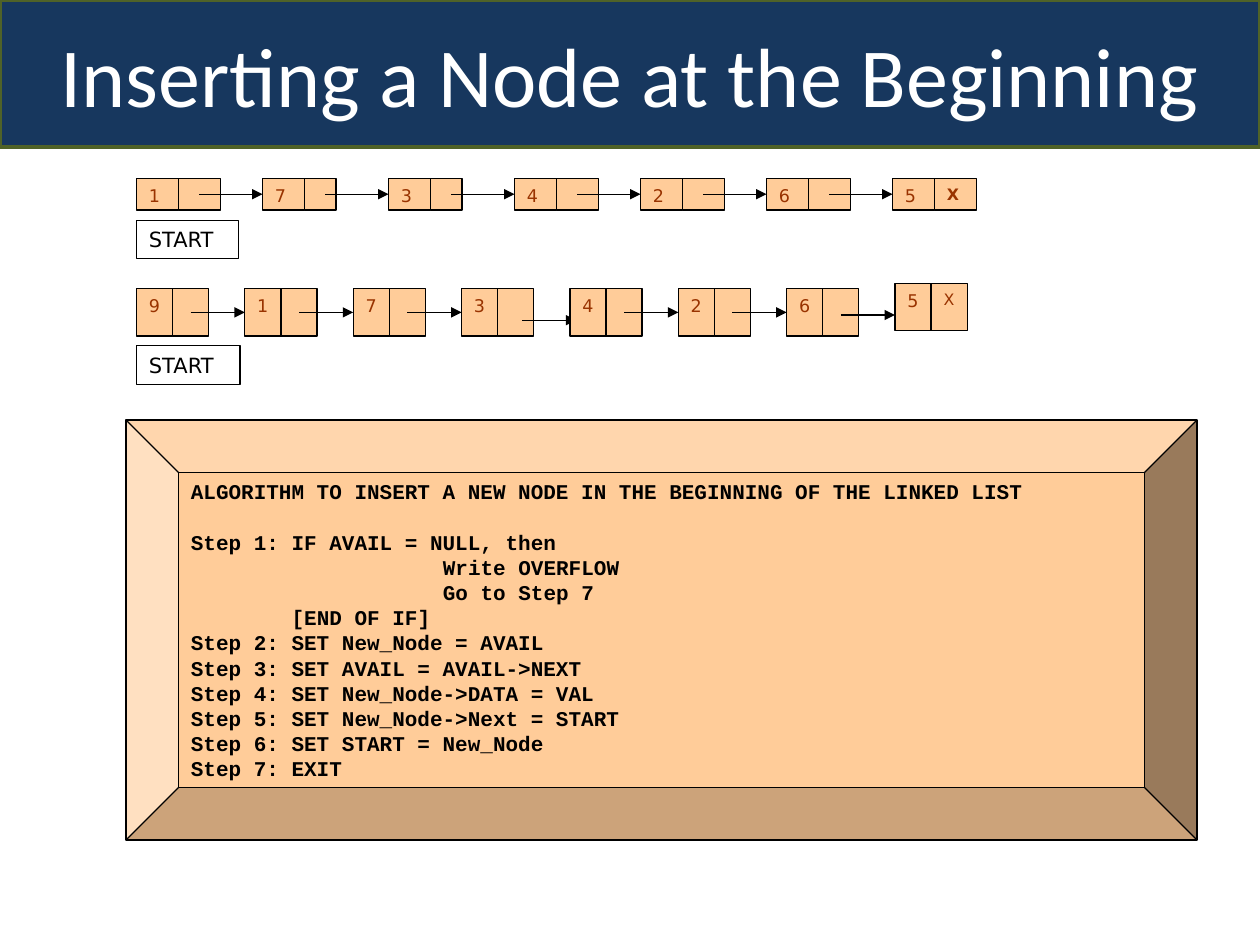
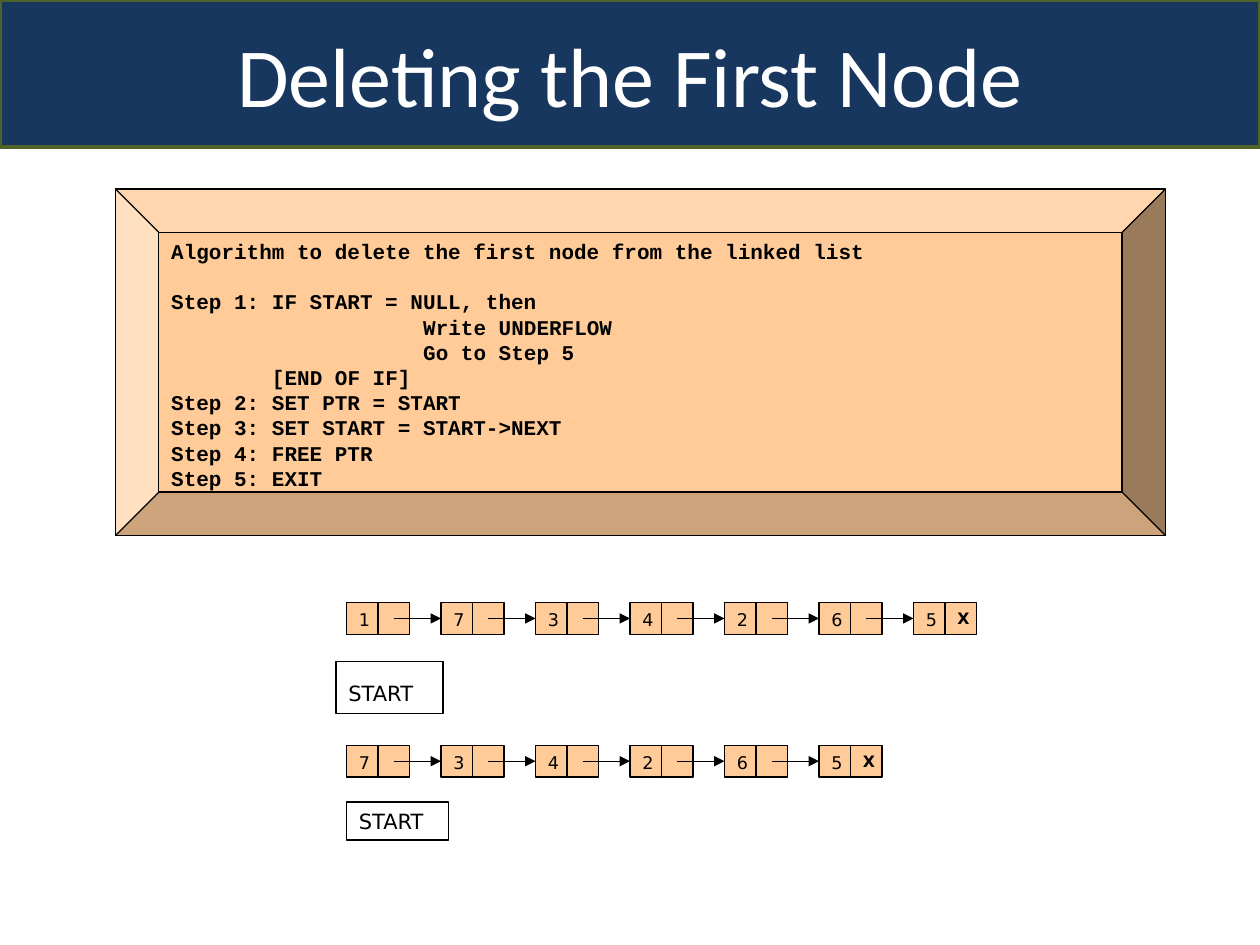
"""Two slides on inserting and deleting the first node of a linked list."""
from dataclasses import dataclass

import pptx
import pptx.dml.color
import pptx.enum.shapes
import pptx.enum.text
import pptx.oxml
import pptx.oxml.ns
import pptx.util

ANCHOR = pptx.enum.text.MSO_ANCHOR
ALIGN = pptx.enum.text.PP_ALIGN
SHAPE = pptx.enum.shapes.MSO_SHAPE
COLUMNS, ROWS = 120, 90
CODE_INDENT = 0.1  # inches taken by one character of code


@dataclass(frozen=True)
class Theme:
    """Colours, fonts and sizes shared by the slides."""
    band: str = "17375E"
    band_edge: str = "4F6228"
    title_ink: str = "FFFFFF"
    node: str = "FFCC99"
    ink: str = "000000"
    warm_ink: str = "993300"
    title_font: str = "Calibri"
    code_font: str = "Courier New"
    label_font: str = "DejaVu Sans"
    title_size: float = 48
    code_size: float = 12
    code_leading: float = 14.4
    start_size: float = 12
    value_size: float = 10
    end_size: float = 9
    band_line: float = 2
    thin_line: float = 0.75


class Deck:
    """Holds the style and the current slide, and draws its elements."""

    def __init__(self, theme):
        """Open an empty 10 by 7.5 inch presentation."""
        self.theme = theme
        self.file = pptx.Presentation()
        self.file.slide_width = pptx.util.Inches(10)
        self.file.slide_height = pptx.util.Inches(7.5)
        self.slide = None

    def x(self, columns):
        """Turn grid columns into a length."""
        return round(self.file.slide_width * columns / COLUMNS)

    def y(self, rows):
        """Turn grid rows into a length."""
        return round(self.file.slide_height * rows / ROWS)

    def paint(self, shape, fill, line, width):
        """Set fill and outline; a fill of None leaves the shape open."""
        if fill is None:
            shape.fill.background()
        else:
            shape.fill.solid()
            shape.fill.fore_color.rgb = pptx.dml.color.RGBColor.from_string(fill)
        shape.line.color.rgb = pptx.dml.color.RGBColor.from_string(line)
        shape.line.width = pptx.util.Pt(width)

    def style(self, paragraph, font, size, color, bold=False, align=ALIGN.LEFT):
        """Format one paragraph and its runs."""
        paragraph.alignment = align
        for run in paragraph.runs:
            run.font.name = font
            run.font.size = pptx.util.Pt(size)
            run.font.bold = bold
            run.font.color.rgb = pptx.dml.color.RGBColor.from_string(color)

    def box(self, shapes, kind, left, top, width, height, fill, anchor=ANCHOR.TOP):
        """Add a thinly outlined preset shape, placed on the grid."""
        shape = shapes.add_shape(kind, self.x(left), self.y(top),
                                 self.x(width), self.y(height))
        shape.shadow.inherit = False
        self.paint(shape, fill, self.theme.ink, self.theme.thin_line)
        shape.text_frame.word_wrap = True
        shape.text_frame.vertical_anchor = anchor
        return shape

    def new_slide(self, heading):
        """Start a slide with the heading in a band across the top."""
        theme = self.theme
        self.slide = self.file.slides.add_slide(self.file.slide_layouts[5])
        title = self.slide.shapes.title
        title.left, title.top = 0, 0
        title.width, title.height = self.x(COLUMNS), self.y(14)
        self.paint(title, theme.band, theme.band_edge, theme.band_line)
        frame = title.text_frame
        frame.text = heading
        frame.vertical_anchor = ANCHOR.MIDDLE
        frame.auto_size = pptx.enum.text.MSO_AUTO_SIZE.NONE
        self.style(frame.paragraphs[0], theme.title_font, theme.title_size,
                   theme.title_ink, align=ALIGN.CENTER)

    def algorithm(self, heading, steps, left, top, width, height):
        """Add a bevelled panel; steps are pairs of indent and code."""
        theme = self.theme
        panel = self.box(self.slide.shapes, SHAPE.BEVEL, left, top, width, height,
                         theme.node)
        frame = panel.text_frame
        lines = [(0, heading)] + steps
        frame.text = "\n".join(code for _, code in lines)
        for paragraph, (indent, _) in zip(frame.paragraphs, lines):
            self.style(paragraph, theme.code_font, theme.code_size, theme.ink, True)
            paragraph.line_spacing = pptx.util.Pt(theme.code_leading)
            margin = pptx.util.Inches(indent * CODE_INDENT)
            paragraph._p.get_or_add_pPr().set("marL", str(margin))
        frame.paragraphs[0].space_after = pptx.util.Pt(theme.code_leading)

    def start_label(self, left, top, width=9.75, height=3.6, drop=0):
        """Add the START box; drop lowers its text by some rows."""
        label = self.box(self.slide.shapes, SHAPE.RECTANGLE, left, top, width, height,
                         None, ANCHOR.MIDDLE)
        label.text_frame.margin_top += self.y(2 * drop)
        label.text_frame.text = "START"
        self.style(label.text_frame.paragraphs[0], self.theme.label_font,
                   self.theme.start_size, self.theme.ink)

    def cell(self, shapes, left, top, width, height, text="", size=10, color="",
             bold=False):
        """Add one half of a node."""
        half = self.box(shapes, SHAPE.RECTANGLE, left, top, width, height,
                        self.theme.node)
        if text:
            half.text_frame.text = text
            self.style(half.text_frame.paragraphs[0], self.theme.label_font, size,
                       color, bold)

    def arrow(self, shapes, start, end, row):
        """Add a level arrow between two columns."""
        link = shapes.add_connector(pptx.enum.shapes.MSO_CONNECTOR.STRAIGHT,
                                    self.x(start), self.y(row), self.x(end), self.y(row))
        link.line.color.rgb = pptx.dml.color.RGBColor.from_string(self.theme.ink)
        link.line.width = pptx.util.Pt(self.theme.thin_line)
        head = pptx.oxml.parse_xml(
            f'<a:tailEnd {pptx.oxml.ns.nsdecls("a")} type="triangle"/>')
        link.line._get_or_add_ln().append(head)
        link._element.spPr.append(pptx.oxml.parse_xml(
            f'<a:effectLst {pptx.oxml.ns.nsdecls("a")}/>'))

    def linked_list(self, values, left, top, pitch, cell, height, color,
                    bold_end=True, end_rise=0, narrow=(), nudges=None):
        """Draw a grouped list; narrow and nudges hold exceptions by node value."""
        shapes = self.slide.shapes.add_group_shape().shapes
        theme = self.theme
        for index, value in enumerate(values):
            node = left + index * pitch
            last = index == len(values) - 1
            row = top - end_rise if last else top
            pointer = 3 if value in narrow else cell
            self.cell(shapes, node, row, cell, height, value, theme.value_size, color)
            self.cell(shapes, node + cell, row, pointer, height, "X" if last else "",
                      theme.end_size, color, bold_end)
            if not last:
                across, down = (nudges or {}).get(value, (0, 0))
                self.arrow(shapes, node + 1.5 * cell + across, node + pitch + across,
                           row + height / 2 + down)


def steps_of(guard, overflow, last, actions):
    """List the guard of step 1, the actions that follow and the exit."""
    steps = [(0, f"Step 1: IF {guard} = NULL, then"), (20, f"Write {overflow}"),
             (20, f"Go to Step {last}"), (8, "[END OF IF]")]
    return steps + [(0, f"Step {number}: {action}")
                    for number, action in enumerate(actions + ["EXIT"], 2)]


def insertion_slide(deck):
    """Show a node being put before the first one."""
    warm = deck.theme.warm_ink
    deck.new_slide("Inserting a Node at the Beginning")
    deck.linked_list("1734265", 13, 17, 12, 4, 3, warm, narrow="73")
    deck.start_label(13, 21)
    deck.linked_list("91734265", 13, 27.5, 10.32, 3.44, 4.5, warm, bold_end=False,
                     end_rise=0.5, nudges={"3": (0.6, 0.75), "6": (0, 0.25)})
    deck.start_label(13, 32.9, 9.85, 3.7)
    deck.algorithm(
        "ALGORITHM TO INSERT A NEW NODE IN THE BEGINNING OF THE LINKED LIST",
        steps_of("AVAIL", "OVERFLOW", 7, [
            "SET New_Node = AVAIL", "SET AVAIL = AVAIL->NEXT",
            "SET New_Node->DATA = VAL", "SET New_Node->Next = START",
            "SET START = New_Node"]),
        12, 40, 102, 40)


def deletion_slide(deck):
    """Show the first node being taken away."""
    deck.new_slide("Deleting the First Node")
    deck.algorithm(
        "Algorithm to delete the first node from the linked list",
        steps_of("START", "UNDERFLOW", 5, [
            "SET PTR = START", "SET START = START->NEXT", "FREE PTR"]),
        11, 18, 100, 33)
    for values, top in (("1734265", 57.4), ("734265", 71)):
        deck.linked_list(values, 33, top, 9, 3, 3, deck.theme.ink)
    deck.start_label(32, 63, 10.2, 4.95, drop=0.5)
    deck.start_label(33, 76.4)


def main():
    """Build both slides and save them."""
    deck = Deck(Theme())
    insertion_slide(deck)
    deletion_slide(deck)
    deck.file.save("out.pptx")


main()
